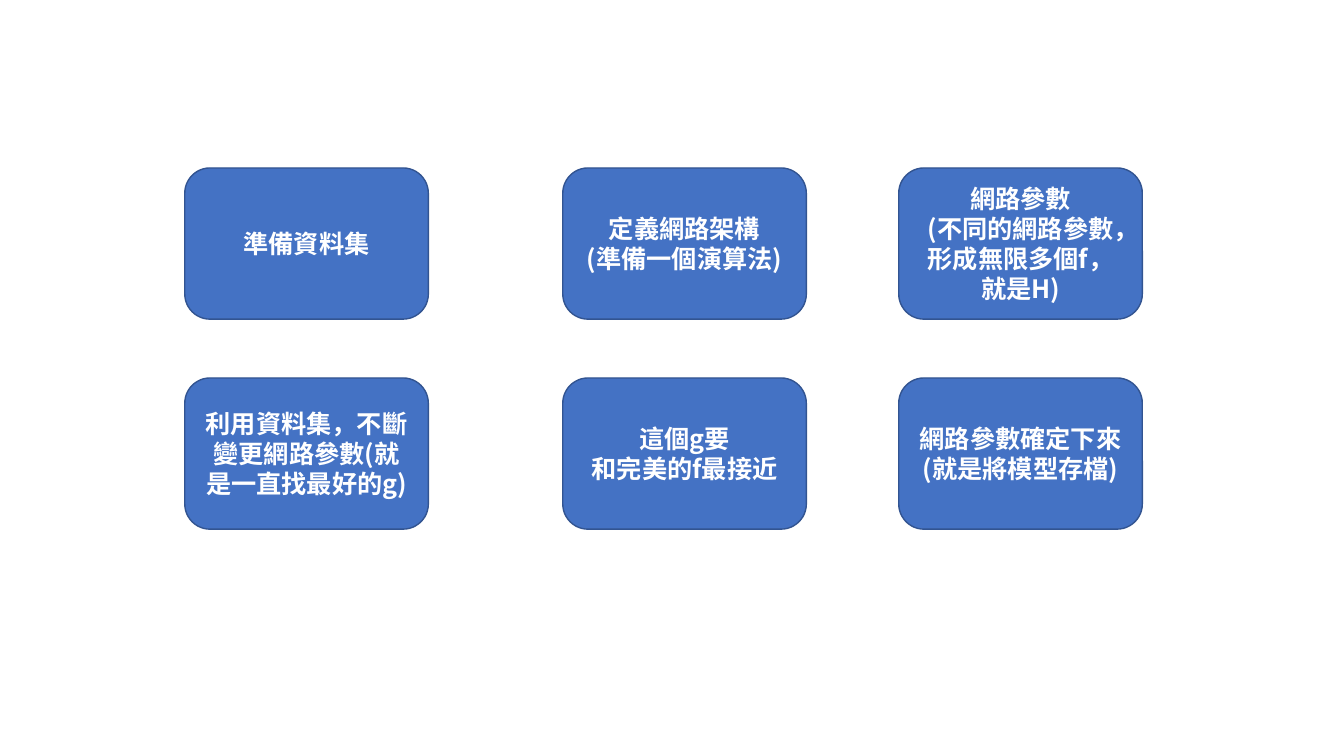
from lxml.etree import SubElement
from pptx import Presentation
from pptx.dml.color import RGBColor
from pptx.enum.shapes import MSO_SHAPE
from pptx.enum.text import MSO_ANCHOR, PP_ALIGN
from pptx.oxml.ns import qn
from pptx.util import Pt

BLUE = RGBColor(0x44, 0x72, 0xC4)
DARK_BLUE = RGBColor(0x32, 0x54, 0x91)
WHITE = RGBColor(0xFF, 0xFF, 0xFF)
FONT = "Noto Sans CJK SC"

COLUMN_LEFTS = [132, 402, 642]
ROW_TOPS = [120, 270]
BOX_WIDTH, BOX_HEIGHT = 174, 108

STEPS = [
    ["準備資料集",
     "定義網路架構\n(準備一個演算法)",
     "網路參數\n(不同的網路參數，形成無限多個f，就是H)"],
    ["利用資料集，不斷變更網路參數(就是一直找最好的g)",
     "這個g要\n和完美的f最接近",
     "網路參數確定下來(就是將模型存檔)"],
]

presentation = Presentation()
presentation.slide_width = Pt(960)
presentation.slide_height = Pt(540)
slide = presentation.slides.add_slide(presentation.slide_layouts[6])

for top, row in zip(ROW_TOPS, STEPS):
    for left, step in zip(COLUMN_LEFTS, row):
        box = slide.shapes.add_shape(
            MSO_SHAPE.ROUNDED_RECTANGLE,
            Pt(left), Pt(top), Pt(BOX_WIDTH), Pt(BOX_HEIGHT))
        box.shadow.inherit = False
        box.fill.solid()
        box.fill.fore_color.rgb = BLUE
        box.line.color.rgb = DARK_BLUE
        box.line.width = Pt(1)

        text_frame = box.text_frame
        text_frame.word_wrap = True
        text_frame.vertical_anchor = MSO_ANCHOR.MIDDLE
        text_frame.text = step
        for paragraph in text_frame.paragraphs:
            paragraph.alignment = PP_ALIGN.CENTER
            font = paragraph.font
            font.size = Pt(18)
            font.bold = True
            font.color.rgb = WHITE
            font.name = FONT
            # Chinese characters take the East Asian typeface
            properties = paragraph._p.pPr.find(qn("a:defRPr"))
            SubElement(properties, qn("a:ea"), typeface=FONT)

presentation.save("out.pptx")
